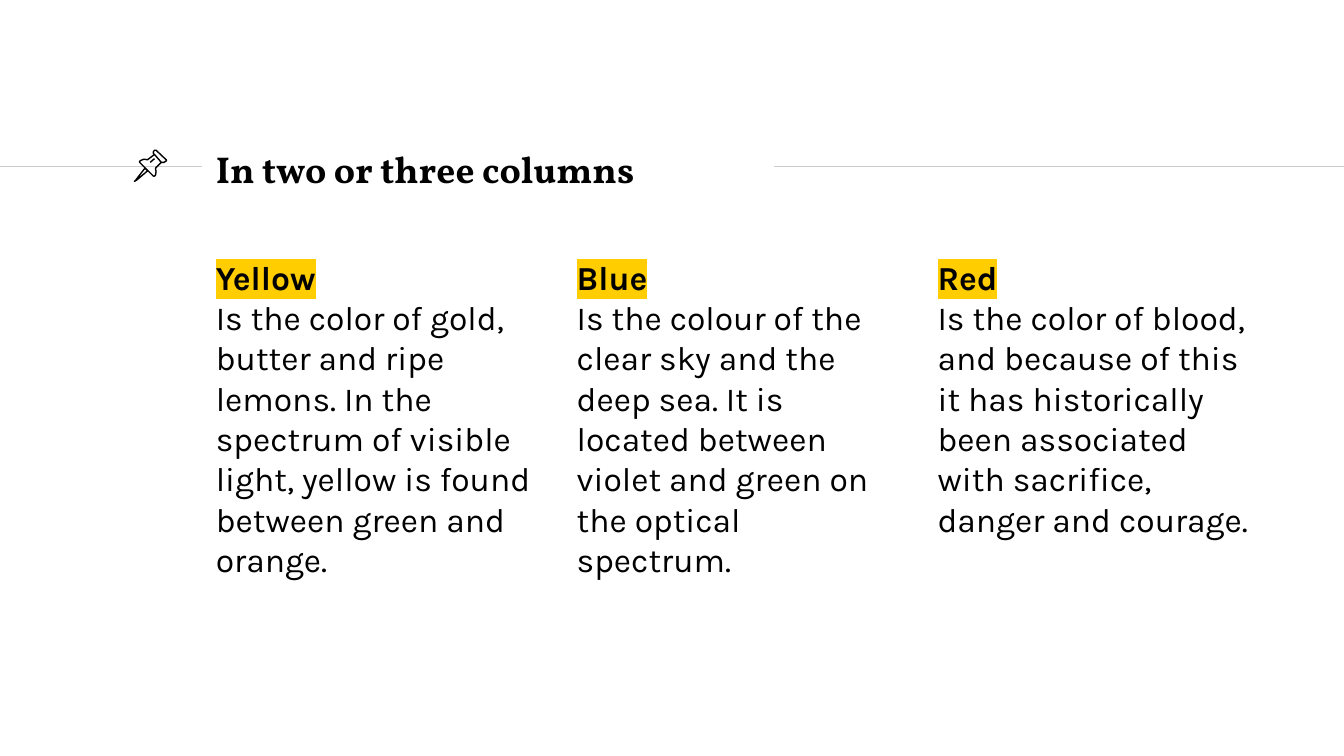
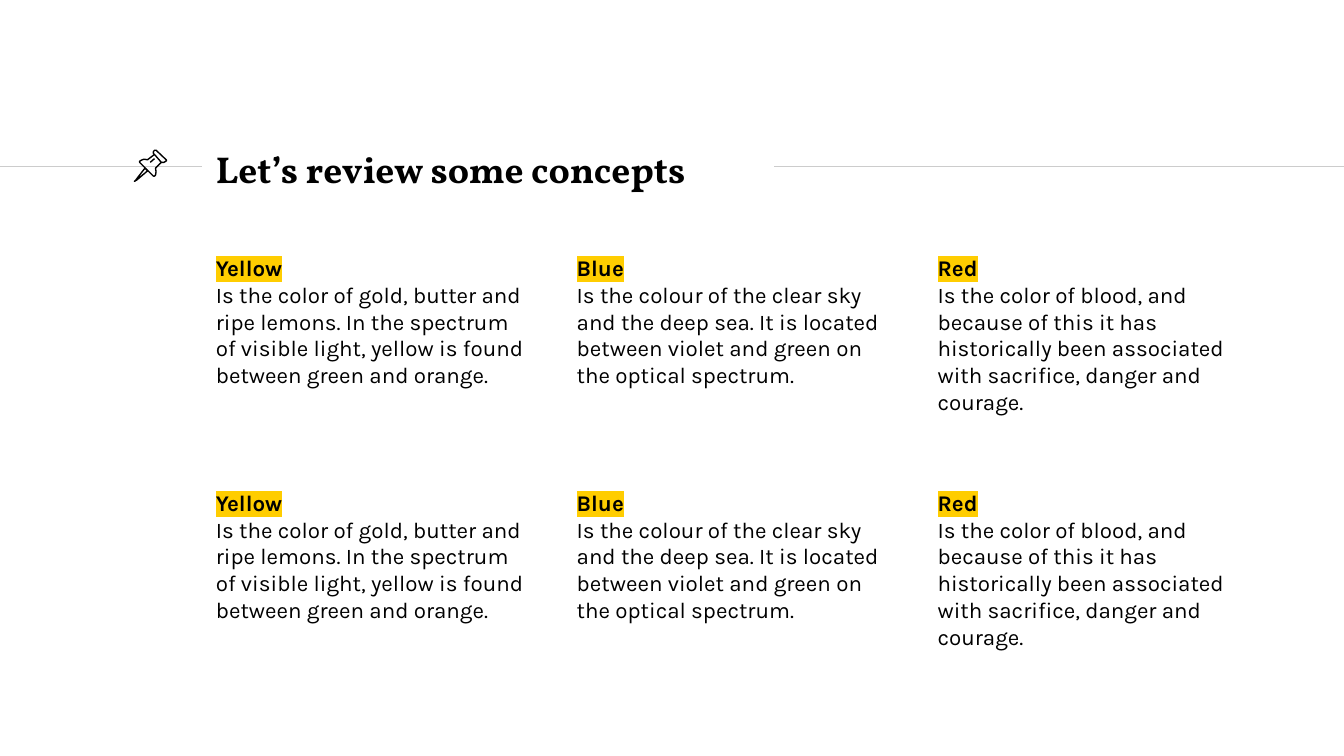
from dataclasses import dataclass

import lxml.etree
import pptx
import pptx.dml.color
import pptx.enum.shapes
import pptx.enum.text
import pptx.oxml.ns
import pptx.util

Cm = pptx.util.Cm
INK, RULE, MARK = "000000", "CCCCCC", "FFCD00"
HEAD, BODY = "Vollkorn", "Karla"
LEFT, STEP, WIDTH = 3.83, 6.82, 6.48
WIDE, HIGH, AXIS = 25.4, 14.29, 3.15


@dataclass(frozen=True)
class Topic:
    """A colour name and what is said of it."""
    name: str
    note: str


@dataclass(frozen=True)
class Page:
    """A slide title and the grid of topics below it."""
    title: str
    size: int
    tops: tuple[float, ...]
    high: float


@dataclass(frozen=True)
class Stroke:
    """One outline of the pin, in hundredths of a centimetre."""
    points: tuple[tuple[int, int], ...]
    close: bool = False


TOPICS = (
    Topic("Yellow", "Is the color of gold, butter and ripe lemons. In the spectrum "
          "of visible light, yellow is found between green and orange."),
    Topic("Blue", "Is the colour of the clear sky and the deep sea. It is located "
          "between violet and green on the optical spectrum."),
    Topic("Red", "Is the color of blood, and because of this it has historically "
          "been associated with sacrifice, danger and courage."),
)
PAGES = (
    Page("In two or three columns", 18, (4.6,), 8.66),
    Page("Let’s review some concepts", 12, (4.55, 8.99), 3.35),
)
PIN = (
    Stroke(((274, 318), (257, 340), (254, 343), (259, 340), (279, 323)), True),
    Stroke(((292, 292), (305, 307), (310, 307), (313, 305), (315, 304), (314, 302),
            (295, 284), (292, 284), (290, 287), (290, 290)), True),
    Stroke(((292, 292), (279, 302), (272, 301), (267, 303), (264, 305), (264, 307),
            (290, 333), (292, 333), (294, 331), (295, 325), (294, 318), (305, 307))),
    Stroke(((284, 307), (292, 300))),
)


def paint(code: str) -> pptx.dml.color.RGBColor:
    """Turn a hex string into a colour."""
    return pptx.dml.color.RGBColor.from_string(code)


def frame(slide, left: float, top: float, width: float, high: float):
    """Add a wrapping text box and return its text frame."""
    box = slide.shapes.add_textbox(Cm(left), Cm(top), Cm(width), Cm(high)).text_frame
    box.word_wrap = True
    box.margin_left = box.margin_right = Cm(0.25)
    box.margin_top = box.margin_bottom = Cm(0.25)
    return box


def write(para, text: str, *, font: str = BODY, size: int = 18,
          bold: bool = False, mark: str = "") -> None:
    """Add a formatted run, highlighted when a mark colour is given."""
    run = para.add_run()
    run.text = text
    run.font.size = pptx.util.Pt(size)
    run.font.bold = bold
    run.font.color.rgb = paint(INK)
    if mark:
        name = pptx.oxml.ns.qn
        props = run._r.get_or_add_rPr()
        glow = lxml.etree.SubElement(props, name("a:highlight"))
        lxml.etree.SubElement(glow, name("a:srgbClr")).set("val", mark)
    run.font.name = font


def rule(slide, start: float, end: float) -> None:
    """Draw a thin level line beside the title."""
    line = slide.shapes.add_connector(
        pptx.enum.shapes.MSO_CONNECTOR.STRAIGHT, Cm(start), Cm(AXIS), Cm(end), Cm(AXIS))
    line.line.color.rgb = paint(RULE)
    line.line.width = pptx.util.Pt(0.75)
    lxml.etree.SubElement(line._element.spPr, pptx.oxml.ns.qn("a:effectLst"))


def pin(slide) -> None:
    """Draw the push pin as a group of outlines."""
    group = slide.shapes.add_group_shape()
    for stroke in PIN:
        first, *rest = stroke.points
        path = group.shapes.build_freeform(*first, scale=float(Cm(0.01)))
        path.add_line_segments(rest, close=stroke.close)
        shape = path.convert_to_shape()
        shape.shadow.inherit = False
        shape.fill.background()
        shape.line.color.rgb = paint(INK)
        shape.line.width = pptx.util.Pt(0.75)


def block(slide, topic: Topic, page: Page, left: float, top: float) -> None:
    """Write a topic name with its note below."""
    box = frame(slide, left, top, WIDTH, page.high)
    write(box.paragraphs[0], topic.name, size=page.size, bold=True, mark=MARK)
    write(box.add_paragraph(), topic.note, size=page.size)


def build(deck, page: Page) -> None:
    """Add one slide with its title band and topics."""
    slide = deck.slides.add_slide(deck.slide_layouts[6])
    rule(slide, 0, 3.81)
    rule(slide, 14.63, WIDE)
    title = frame(slide, LEFT, 2.57, 10.77, 1.22)
    title.vertical_anchor = pptx.enum.text.MSO_ANCHOR.MIDDLE
    write(title.paragraphs[0], page.title, font=HEAD, size=20, bold=True)
    for top in page.tops:
        for col, topic in enumerate(TOPICS):
            block(slide, topic, page, LEFT + col * STEP, top)
    pin(slide)


def main() -> None:
    """Build and save the deck."""
    deck = pptx.Presentation()
    deck.slide_width, deck.slide_height = Cm(WIDE), Cm(HIGH)
    for page in PAGES:
        build(deck, page)
    deck.save("out.pptx")


if __name__ == "__main__":
    main()
